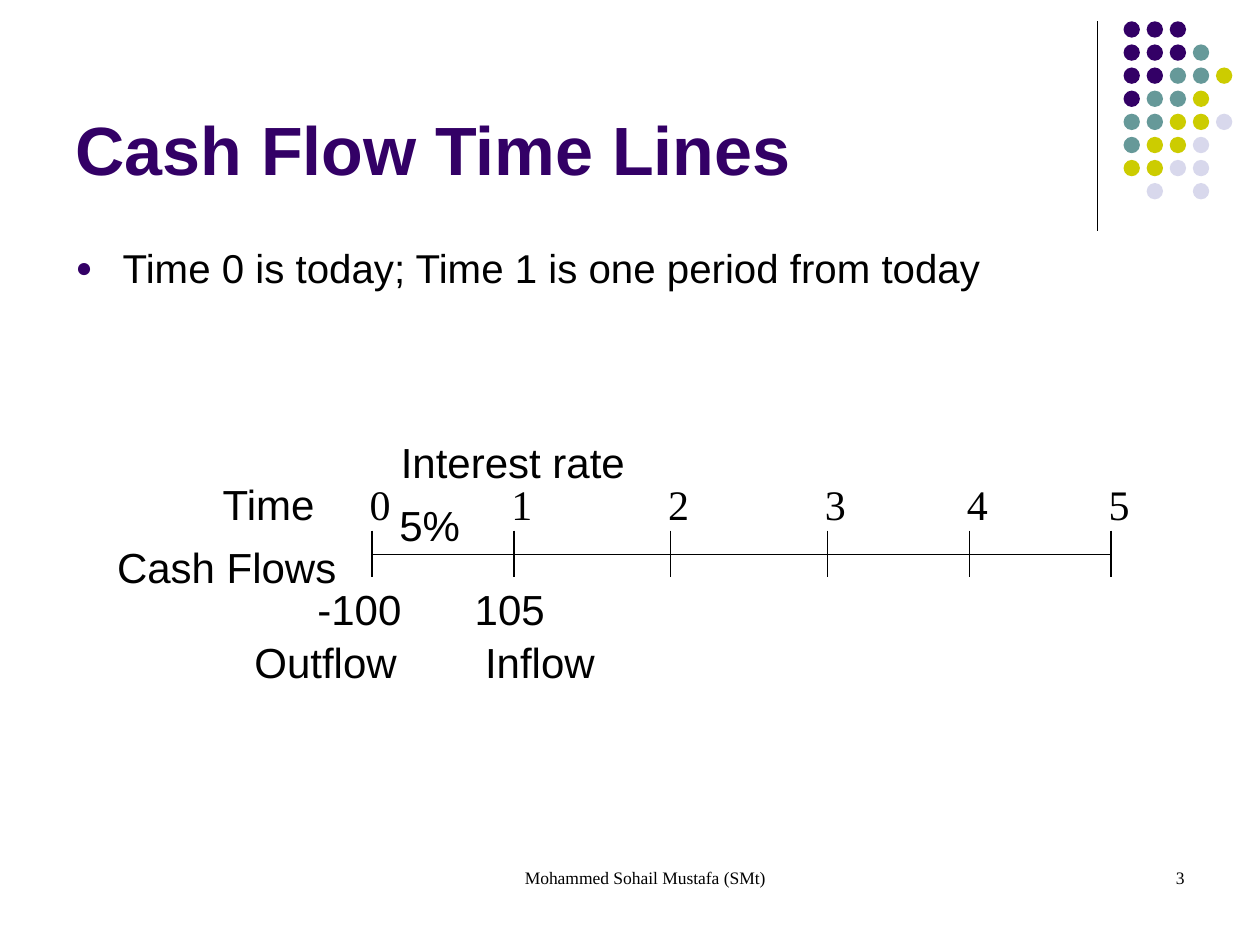
from lxml.etree import SubElement
from pptx import Presentation
from pptx.dml.color import RGBColor
from pptx.enum.shapes import MSO_CONNECTOR, MSO_SHAPE
from pptx.enum.text import MSO_ANCHOR, MSO_AUTO_SIZE, PP_ALIGN
from pptx.oxml.ns import qn
from pptx.util import Cm, Pt

# Content
TITLE = "Cash Flow Time Lines"
POINT = "Time 0 is today; Time 1 is one period from today"
LABELS = [  # text, left, top, width
    ("Time", 4.24, 9.52, 2.67),
    ("Cash Flows", 2.11, 10.8, 5.08),
    ("-100", 6.15, 11.63, 2.3),
    ("5%", 7.8, 9.95, 1.85),
    ("Outflow", 4.88, 12.7, 3.5),
    ("Interest rate", 7.83, 8.67, 5.15),
    ("105", 9.32, 11.63, 2.05),
    ("Inflow", 9.53, 12.7, 2.85),
]
TICKS = [7.5, 10.36, 13.52, 16.68, 19.54, 22.4]
FOOT = [  # text, left, width, alignment
    ("Mohammed Sohail Mustafa (SMt)", 8.68, 8.05, PP_ALIGN.CENTER),
    ("3", 18.21, 5.92, PP_ALIGN.RIGHT),
]
DOTS = ["PPP", "PPPT", "PPTTY", "PTTY", "TTYYL", "TYYL", "YYLL", " L L"]
HUES = {"P": "330066", "T": "669999", "Y": "CCCC00", "L": "D8D8EC"}
STEP = 3.26 / 7
SERIF = "Times New Roman"


def paint(part, hue):
    part.solid()
    part.fore_color.rgb = RGBColor.from_string(hue)


def write(shape, text, size=24, font="Arial", hue="000000", bold=False,
          align=PP_ALIGN.LEFT, anchor=MSO_ANCHOR.TOP, fit=MSO_AUTO_SIZE.NONE):
    frame = shape.text_frame
    frame.word_wrap, frame.auto_size = True, fit
    frame.vertical_anchor = anchor
    para = frame.paragraphs[0]
    para.alignment = align
    run = para.add_run()
    run.text = text
    run.font.size, run.font.name, run.font.bold = Pt(size), font, bold
    paint(run.font.fill, hue)
    return para


def place(shape, x, y, w, h):
    shape.left, shape.top = Cm(x), Cm(y)
    shape.width, shape.height = Cm(w), Cm(h)


def box(x, y, w, h=1.27):
    return shapes.add_textbox(Cm(x), Cm(y), Cm(w), Cm(h))


def rule(x1, y1, x2, y2):
    line = shapes.add_connector(MSO_CONNECTOR.STRAIGHT,
                                Cm(x1), Cm(y1), Cm(x2), Cm(y2))
    paint(line.line.fill, "000000")
    line.line.width = Pt(0.75)
    SubElement(line._element.spPr, qn("a:effectLst"))


deck = Presentation()
deck.slide_width, deck.slide_height = Cm(25.4), Cm(19.05)
slide = deck.slides.add_slide(deck.slide_layouts[1])
shapes = slide.shapes

# Corner ornament
rule(22.12, 0.43, 22.12, 4.65)
for row, codes in enumerate(DOTS):
    for col, code in enumerate(codes):
        if code in HUES:
            dot = shapes.add_shape(MSO_SHAPE.OVAL, Cm(22.65 + col * STEP),
                                   Cm(0.43 + row * STEP), Cm(0.33), Cm(0.33))
            dot.shadow.inherit = False
            paint(dot.fill, HUES[code])
            dot.line.fill.background()

# Title and bullet
place(shapes.title, 1.27, 0.33, 20.96, 3.61)
write(shapes.title, TITLE, size=39, hue="330066", bold=True,
      anchor=MSO_ANCHOR.BOTTOM)
body = slide.placeholders[1]
place(body, 1.27, 4.78, 22.86, 12.24)
para = write(body, POINT, size=23)
para.space_before = Pt(5.8)
props = para._p.get_or_add_pPr()
props.set("marL", str(Cm(0.95)))
props.set("indent", str(Cm(-0.95)))
SubElement(SubElement(props, qn("a:buClr")), qn("a:srgbClr"), val="330066")
SubElement(props, qn("a:buSzPct"), val="70000")
SubElement(props, qn("a:buFont"), typeface="Arial")
SubElement(props, qn("a:buChar"), char="●")

# Time line with numbered ticks
rule(TICKS[0], 11.18, TICKS[-1], 11.18)
for year, x in enumerate(TICKS):
    rule(x, 10.7, x, 11.64)
    write(box(x - 0.3, 9.52, 0.76), str(year), font=SERIF,
          fit=MSO_AUTO_SIZE.SHAPE_TO_FIT_TEXT)

# Labels
for text, x, y, w in LABELS:
    write(box(x, y, w), text, fit=MSO_AUTO_SIZE.SHAPE_TO_FIT_TEXT)

# Footer
for text, x, w, align in FOOT:
    para = write(box(x, 17.36, w), text, size=10, font=SERIF, align=align)
    para._p.get_or_add_pPr().set("marL", str(Cm(0.6)))

deck.save("out.pptx")
